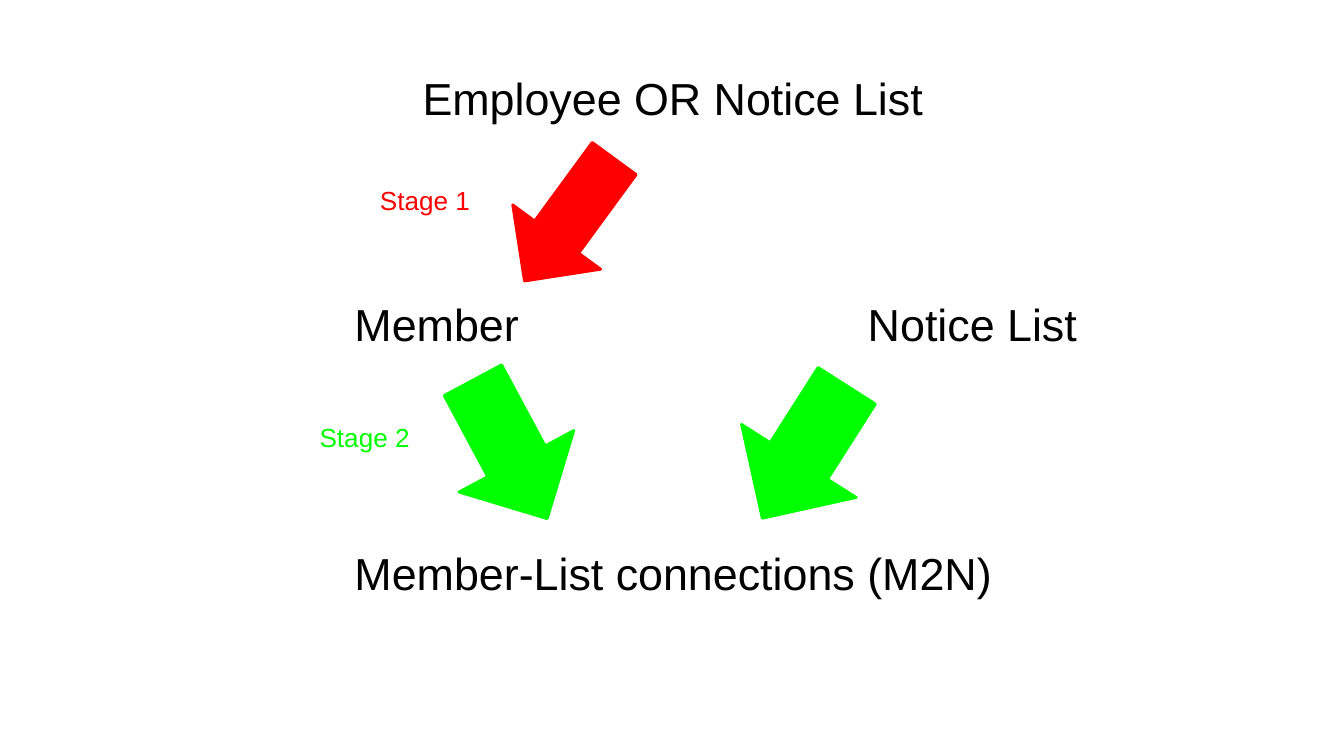
from dataclasses import dataclass

from pptx import Presentation
from pptx.dml.color import RGBColor
from pptx.enum.shapes import MSO_SHAPE as Shape
from pptx.enum.text import PP_ALIGN as Align
from pptx.util import Cm, Pt


@dataclass(frozen=True)
class Theme:
    """Colours, type and common sizes of the slide."""
    font: str = "Arial"
    ink: RGBColor = RGBColor(0, 0, 0)
    stage_1: RGBColor = RGBColor(255, 0, 0)
    stage_2: RGBColor = RGBColor(0, 255, 0)
    paper: RGBColor = RGBColor(255, 255, 255)
    entity_pt: int = 24
    stage_pt: int = 14
    line_pt: float = 1.5
    label_w: float = 13.39
    label_h: float = 1.55
    inset: float = 0.25


THEME = Theme()


def add_label(s, x, y, text, size=THEME.entity_pt, color=THEME.ink, align=Align.LEFT):
    """Write one line of text in a box of the common label size."""
    sp = s.shapes.add_textbox(Cm(x), Cm(y), Cm(THEME.label_w), Cm(THEME.label_h))
    tf = sp.text_frame
    tf.word_wrap = True
    tf.margin_left = tf.margin_right = tf.margin_top = tf.margin_bottom = Cm(THEME.inset)
    p = tf.paragraphs[0]
    p.alignment = align
    r = p.add_run()
    r.text = text
    r.font.name = THEME.font
    r.font.size = Pt(size)
    r.font.color.rgb = color


def add_arrow(s, x, y, w, h, angle, color):
    """Draw a solid block arrow turned by the given angle."""
    sp = s.shapes.add_shape(Shape.DOWN_ARROW, Cm(x), Cm(y), Cm(w), Cm(h))
    sp.rotation = angle
    sp.shadow.inherit = False
    sp.fill.solid()
    sp.fill.fore_color.rgb = color
    sp.line.color.rgb = color
    sp.line.width = Pt(THEME.line_pt)


def add_stage_1(s, x, y):
    """Place the source entity and its arrow to the member."""
    add_label(s, x, y, "Employee OR Notice List", align=Align.CENTER)
    add_arrow(s, x + 3.71, y + 1.63, 2.06, 2.87, 36.2, THEME.stage_1)
    add_label(s, x + 0.91, y + 2.14, "Stage 1", THEME.stage_pt, THEME.stage_1)


def add_stage_2(s, x, y):
    """Place member and list with their arrows to the connections."""
    entities = (
        (0.66, 0, "Member"),
        (10.36, 0, "Notice List"),
        (0.66, 4.7, "Member-List connections (M2N)"),
    )
    for dx, dy, text in entities:
        add_label(s, x + dx, y + dy, text)
    add_arrow(s, x + 2.62, y + 1.65, 2.46, 2.97, 331.8, THEME.stage_2)
    add_arrow(s, x + 8.13, y + 1.7, 2.57, 2.97, 32.5, THEME.stage_2)
    add_label(s, x, y + 2.36, "Stage 2", THEME.stage_pt, THEME.stage_2)


def main():
    """Build the slide and save it."""
    prs = Presentation()
    prs.slide_width, prs.slide_height = Cm(25.4), Cm(14.29)
    s = prs.slides.add_slide(prs.slide_layouts[6])
    s.background.fill.solid()
    s.background.fill.fore_color.rgb = THEME.paper
    add_stage_1(s, 6.02, 1.09)
    add_stage_2(s, 5.79, 5.36)
    prs.save("out.pptx")


if __name__ == "__main__":
    main()
